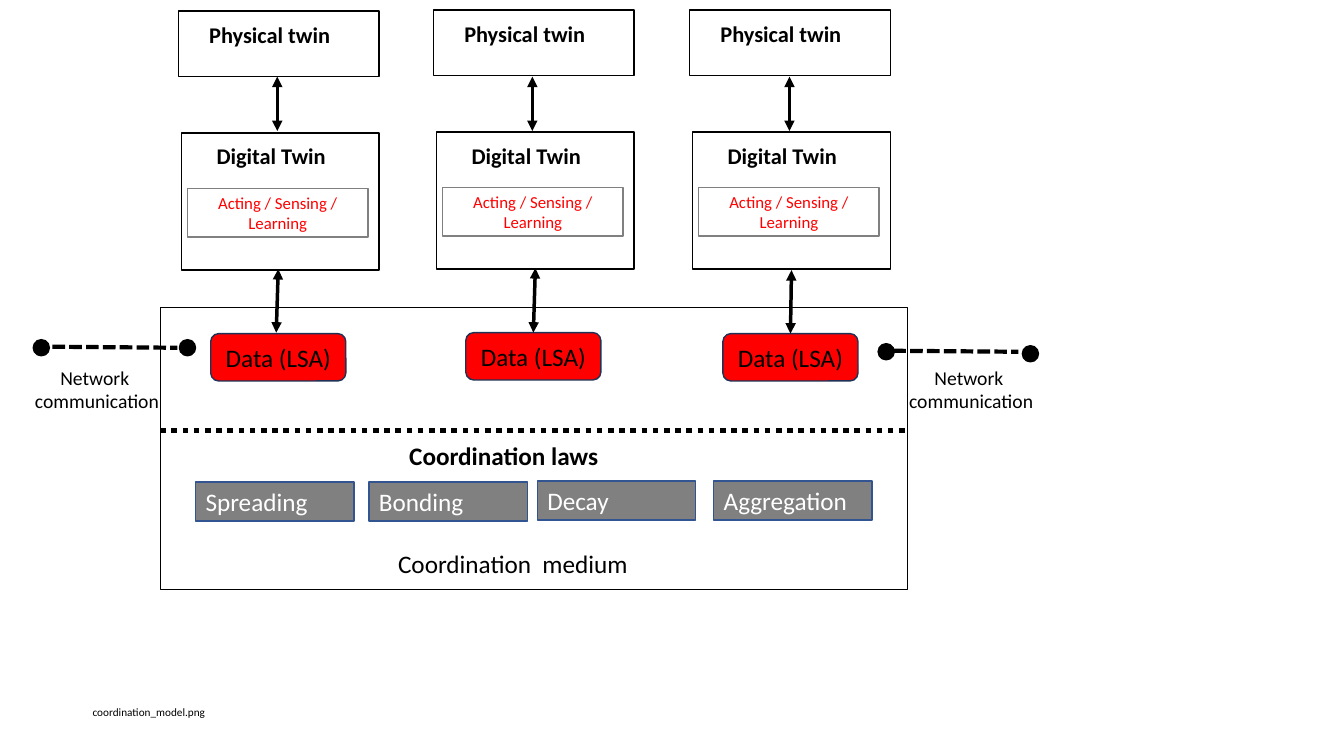
from dataclasses import dataclass

from lxml import etree
from pptx import Presentation
from pptx.dml.color import RGBColor
from pptx.enum.dml import MSO_LINE
from pptx.enum.shapes import MSO_CONNECTOR, MSO_SHAPE
from pptx.enum.text import MSO_ANCHOR, PP_ALIGN
from pptx.oxml.ns import qn
from pptx.util import Inches, Pt

RECT = MSO_SHAPE.RECTANGLE
ROUND = MSO_SHAPE.ROUNDED_RECTANGLE
OVAL = MSO_SHAPE.OVAL
STRAIGHT = MSO_CONNECTOR.STRAIGHT
DASH = MSO_LINE.SQUARE_DOT
DOT = MSO_LINE.ROUND_DOT
LEFT = PP_ALIGN.LEFT
CENTER = PP_ALIGN.CENTER
MIDDLE = MSO_ANCHOR.MIDDLE

BLACK = RGBColor(0x00, 0x00, 0x00)
WHITE = RGBColor(0xFF, 0xFF, 0xFF)
GRAY = RGBColor(0x80, 0x80, 0x80)
RED = RGBColor(0xFF, 0x00, 0x00)
NAVY = RGBColor(0x1E, 0x32, 0x56)
BLUE = RGBColor(0x32, 0x54, 0x91)


@dataclass(frozen=True)
class Box:
    x: float
    y: float
    w: float
    h: float


@dataclass(frozen=True)
class Style:
    size: float
    color: RGBColor = BLACK
    bold: bool = False
    align: PP_ALIGN = CENTER


@dataclass(frozen=True)
class Line:
    x1: float
    y1: float
    x2: float
    y2: float


@dataclass(frozen=True)
class Twin:
    x: float
    y: float
    axis: float
    data: tuple[float, float]
    link: Line


@dataclass(frozen=True)
class Law:
    name: str
    x: float
    y: float


@dataclass(frozen=True)
class Network:
    label: float
    line: Line
    dots: tuple[tuple[float, float], ...]


TITLE = Style(16, bold=True)
SMALL = Style(12, RED)
DATA = Style(18)
LAW = Style(18, WHITE, align=LEFT)
NET = Style(14)

TWINS = (
    Twin(1.77, 0.11, 2.75, (2.09, 3.31), Line(2.76, 2.67, 2.74, 3.3)),
    Twin(4.3, 0.1, 5.28, (4.62, 3.3), Line(5.31, 2.66, 5.29, 3.3)),
    Twin(6.84, 0.1, 7.83, (7.17, 3.31), Line(7.85, 2.68, 7.84, 3.31)),
)
LAWS = (
    Law("Spreading", 1.94, 4.78),
    Law("Bonding", 3.66, 4.78),
    Law("Decay", 5.33, 4.77),
    Law("Aggregation", 7.08, 4.77),
)
NETS = (
    Network(0.1, Line(0.52, 3.44, 1.76, 3.45), ((0.33, 3.37), (1.78, 3.37))),
    Network(8.77, Line(8.86, 3.48, 10.1, 3.49), ((8.71, 3.41), (10.14, 3.43))),
)

deck = Presentation()
deck.slide_width = Inches(13.33)
deck.slide_height = Inches(7.5)
slide = deck.slides.add_slide(deck.slide_layouts[6])


def write(frame, text: str, style: Style) -> None:
    frame.word_wrap = True
    frame.text = text
    for para in frame.paragraphs:
        para.alignment = style.align
        font = para.font
        font.name = "Calibri"
        font.size = Pt(style.size)
        font.bold = style.bold
        font.color.rgb = style.color


def shape(kind: MSO_SHAPE, box: Box, fill: RGBColor, edge: RGBColor,
          text: str = "", style: Style = DATA) -> None:
    item = slide.shapes.add_shape(
        kind, Inches(box.x), Inches(box.y), Inches(box.w), Inches(box.h))
    item.shadow.inherit = False
    item.fill.solid()
    item.fill.fore_color.rgb = fill
    item.line.color.rgb = edge
    item.line.width = Pt(1)
    if text:
        item.text_frame.vertical_anchor = MIDDLE
        write(item.text_frame, text, style)


def label(box: Box, text: str, style: Style) -> None:
    item = slide.shapes.add_textbox(
        Inches(box.x), Inches(box.y), Inches(box.w), Inches(box.h))
    write(item.text_frame, text, style)


def rule(line: Line, width: float, dash: MSO_LINE | None = None,
         arrows: bool = False) -> None:
    item = slide.shapes.add_connector(
        STRAIGHT, Inches(line.x1), Inches(line.y1),
        Inches(line.x2), Inches(line.y2))
    item.line.color.rgb = BLACK
    item.line.width = Pt(width)
    if dash is not None:
        item.line.dash_style = dash
    if arrows:
        stroke = item.line._get_or_add_ln()
        for end in ("a:headEnd", "a:tailEnd"):
            etree.SubElement(stroke, qn(end), type="triangle")
    etree.SubElement(item._element.spPr, qn("a:effectLst"))


def draw_twin(twin: Twin) -> None:
    x, y = twin.x, twin.y
    shape(RECT, Box(x, y, 1.99, 0.65), WHITE, BLACK)
    label(Box(x + 0.08, y + 0.05, 1.65, 0.37), "Physical twin", TITLE)
    shape(RECT, Box(x + 0.03, y + 1.21, 1.96, 1.36), WHITE, BLACK)
    label(Box(x + 0.22, 1.36, 1.4, 0.37), "Digital Twin", TITLE)
    shape(RECT, Box(x + 0.09, y + 1.76, 1.79, 0.48), WHITE, GRAY,
          "Acting / Sensing / Learning", SMALL)
    rule(Line(twin.axis, 0.76, twin.axis, 1.3), 2.5, arrows=True)
    shape(ROUND, Box(*twin.data, 1.34, 0.47), RED, NAVY, "Data (LSA)", DATA)
    rule(twin.link, 2.5, arrows=True)


def draw_net(net: Network) -> None:
    rule(net.line, 3, DASH)
    for x, y in net.dots:
        shape(OVAL, Box(x, y, 0.16, 0.16), BLACK, BLACK)
    label(Box(net.label, 3.58, 1.68, 0.57), "Network\n communication", NET)


def main() -> None:
    shape(RECT, Box(1.59, 3.05, 7.41, 2.8), WHITE, BLACK)
    rule(Line(1.59, 4.27, 9.01, 4.27), 4, DOT)
    label(Box(3.96, 4.32, 2.59, 0.4), "Coordination laws",
          Style(18, bold=True, align=LEFT))
    for law in LAWS:
        shape(RECT, Box(law.x, law.y, 1.57, 0.39), GRAY, BLUE, law.name, LAW)
    label(Box(3.85, 5.39, 2.73, 0.4), "Coordination  medium",
          Style(18, align=LEFT))
    for twin in TWINS:
        draw_twin(twin)
    for net in NETS:
        draw_net(net)
    label(Box(0.82, 6.95, 1.94, 0.24), "coordination_model.png",
          Style(8, align=LEFT))
    deck.save("out.pptx")


if __name__ == "__main__":
    main()
